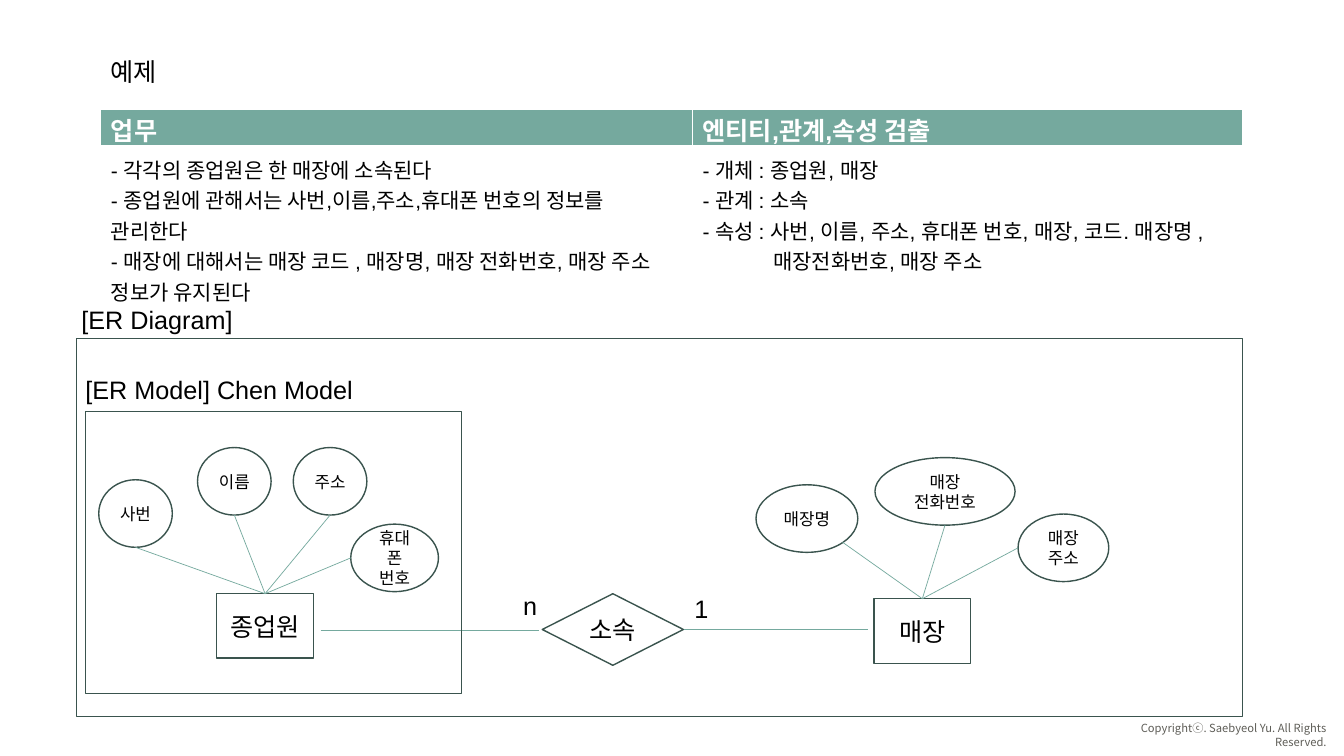
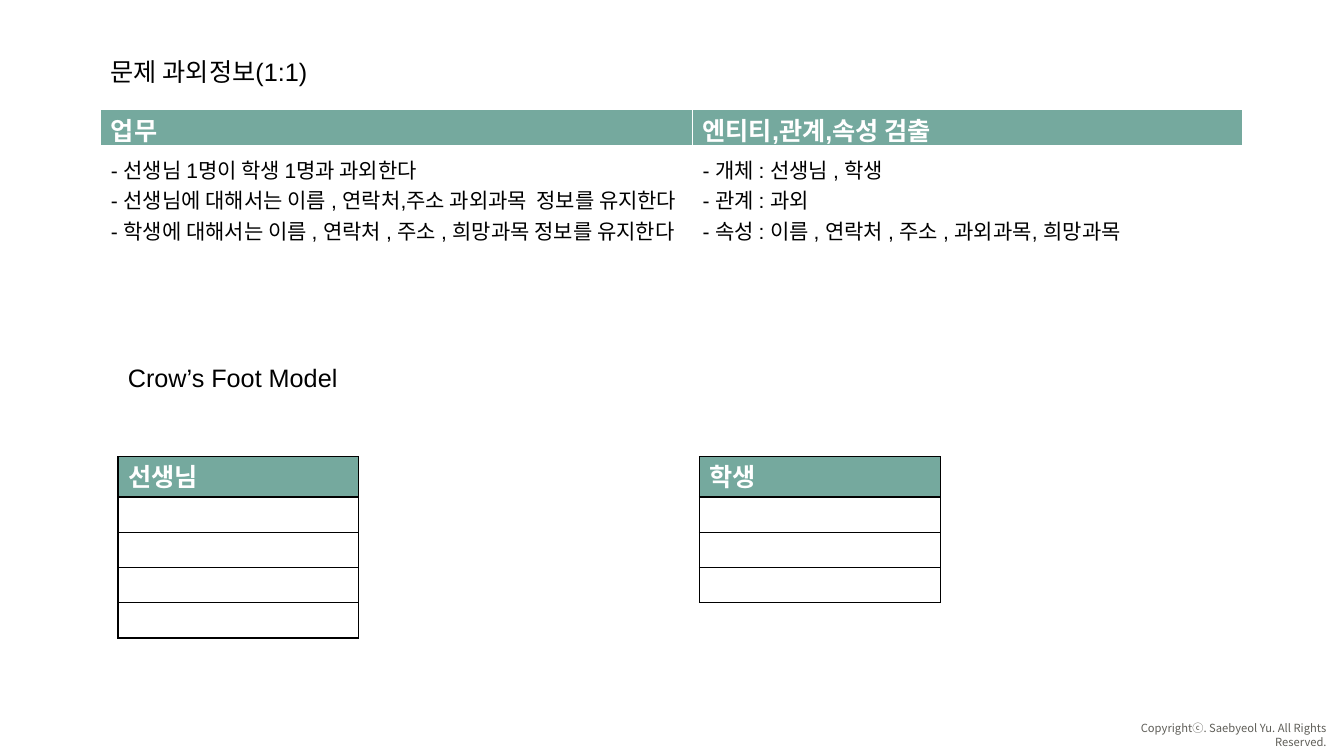
import dataclasses
import typing

import lxml.etree
import pptx
import pptx.dml.color
import pptx.enum.shapes
import pptx.enum.text
import pptx.oxml.ns
import pptx.util

INK = {"text": "000000", "band": "75A99E", "edge": "3A544E",
       "white": "FFFFFF", "foot": "5F5E58"}
CELL = pptx.util.Inches(0.1)  # side of one grid square
WIDE, HIGH = 133.33, 75  # slide size in grid squares
LEFT = 10
KIND = pptx.enum.shapes.MSO_SHAPE
ALIGN = pptx.enum.text.PP_ALIGN

BODY = {"name": "Arial", "size": 18, "color": "text"}
SMALL = {**BODY, "size": 12}
LIST = {**BODY, "size": 15}
HEAD = {**BODY, "color": "white", "bold": True}
FOOT = {"name": "Noto Sans CJK KR", "size": 8, "color": "foot"}

LOW, SIDE, SLANT = (0.5, 1), (0, 0.5), (0.85, 0.85)


@dataclasses.dataclass
class Box:
    col: float
    row: float
    wide: float
    high: float

    def port(self, share: tuple[float, float]) -> tuple[float, float]:
        """Point at the given shares of the width and height."""
        return self.col + share[0] * self.wide, self.row + share[1] * self.high


@dataclasses.dataclass
class Label:
    text: str
    col: float
    row: float
    wide: float


@dataclasses.dataclass
class Trait:
    text: str
    box: Box
    port: tuple[float, float] = LOW


@dataclasses.dataclass
class Owner:
    text: str
    box: Box
    traits: list[Trait]


@dataclasses.dataclass
class Grid:
    col: float
    row: float
    cols: list[float]
    rows: list[float]
    heads: list[str]
    lists: list[list[str]]
    line: str


OWNERS = [
    Owner("종업원", Box(21.5, 58.9, 9.6, 6.4), [
        Trait("사번", Box(9.8, 47.6, 7.3, 6.7)),
        Trait("이름", Box(19.6, 44.4, 7.3, 6.7)),
        Trait("주소", Box(29.1, 44.4, 7.3, 6.7)),
        Trait("휴대폰 번호", Box(34.8, 52, 8.7, 6.7), SIDE)]),
    Owner("매장", Box(86.7, 59.4, 9.6, 6.4), [
        Trait("매장명", Box(75, 48.1, 10.1, 6.7), SLANT),
        Trait("매장 전화번호", Box(86.8, 45.4, 13.9, 6.7)),
        Trait("매장\n주소", Box(101, 51, 9, 6.7), SIDE)]),
]
LINKS = [((31.8, 62.5), (53.5, 62.5)), ((67.9, 62.4), (86.1, 62.4))]
FRAMES = [Box(8.5, 40.8, 37.3, 28), Box(7.6, 33.6, 115.7, 37.5)]
LABELS = [
    Label("[ER Model] Chen Model", 7.5, 36.6, 35),
    Label("n", 50.9, 58.1, 3.5),
    Label("1", 67.9, 58.4, 3.4),
    Label("[ER Diagram]", 7.1, 29.7, 22),
]
STAFF = [
    ["- 각각의 종업원은 한 매장에 소속된다",
     "- 종업원에 관해서는 사번,이름,주소,휴대폰 번호의 정보를 관리한다",
     "- 매장에 대해서는 매장 코드 , 매장명, 매장 전화번호, 매장 주소 정보가 유지된다"],
    ["- 개체 : 종업원, 매장",
     "- 관계 : 소속",
     "- 속성 : 사번, 이름, 주소, 휴대폰 번호, 매장, 코드. 매장명 ,",
     "\t매장전화번호, 매장 주소"],
]
TUTOR = [
    ["- 선생님 1명이 학생 1명과 과외한다",
     "- 선생님에 대해서는 이름 , 연락처,주소 과외과목  정보를 유지한다",
     "- 학생에 대해서는 이름 , 연락처 , 주소 , 희망과목 정보를 유지한다"],
    ["- 개체 : 선생님 , 학생",
     "- 관계 : 과외",
     "- 속성 : 이름 , 연락처 , 주소 , 과외과목, 희망과목"],
]


def span(*units: float) -> list[int]:
    return [round(unit * CELL) for unit in units]


def tint(name: str) -> pptx.dml.color.RGBColor:
    return pptx.dml.color.RGBColor.from_string(INK[name])


def style(font: typing.Any, form: dict[str, typing.Any]) -> None:
    for key, val in form.items():
        if key == "color":
            font.color.rgb = tint(val)
        else:
            setattr(font, key, pptx.util.Pt(val) if key == "size" else val)


def write(frame: typing.Any, lines: list[str], form: dict[str, typing.Any],
          align: typing.Any = None) -> None:
    """Write one paragraph a line; a leading tab makes it indented."""
    for spot, line in enumerate(lines):
        para = frame.paragraphs[0] if spot == 0 else frame.add_paragraph()
        if line.startswith("\t"):
            para._p.get_or_add_pPr().set("marL", str(span(7)[0]))
        para.alignment = align
        run = para.add_run()
        run.text = line.strip()
        style(run.font, form)


def note(slide: typing.Any, label: Label, form: dict[str, typing.Any] = BODY,
         align: typing.Any = None) -> None:
    box = slide.shapes.add_textbox(*span(label.col, label.row, label.wide, 4))
    box.text_frame.word_wrap = True
    write(box.text_frame, [label.text], form, align)


def shape(slide: typing.Any, kind: typing.Any, box: Box, text: str = "",
          form: dict[str, typing.Any] = BODY) -> None:
    item = slide.shapes.add_shape(
        kind, *span(box.col, box.row, box.wide, box.high))
    item.shadow.inherit = False
    item.fill.background()
    item.line.color.rgb = tint("edge")
    item.line.width = pptx.util.Pt(1)
    if text:
        item.text_frame.vertical_anchor = pptx.enum.text.MSO_ANCHOR.MIDDLE
        write(item.text_frame, text.split("\n"), form, ALIGN.CENTER)


def link(slide: typing.Any, start: tuple[float, float],
         end: tuple[float, float]) -> None:
    line = slide.shapes.add_connector(
        pptx.enum.shapes.MSO_CONNECTOR.STRAIGHT, *span(*start, *end))
    line.line.color.rgb = tint("band")
    line.line.width = pptx.util.Pt(0.5)
    lxml.etree.SubElement(line._element.spPr,
                          pptx.oxml.ns.qn("a:effectLst"))


def edge(cell: typing.Any, name: str, low: float) -> None:
    """Border a cell; low is the width of its bottom line in points."""
    props = cell._tc.get_or_add_tcPr()
    for side, width in zip("LRTB", (1, 1, 1, low)):
        line = lxml.etree.SubElement(props, pptx.oxml.ns.qn(f"a:ln{side}"),
                                     w=str(pptx.util.Pt(width)))
        fill = lxml.etree.SubElement(line, pptx.oxml.ns.qn("a:solidFill"))
        lxml.etree.SubElement(fill, pptx.oxml.ns.qn("a:srgbClr"),
                              val=INK[name])


def table(slide: typing.Any, grid: Grid) -> None:
    item = slide.shapes.add_table(
        len(grid.rows), len(grid.cols),
        *span(grid.col, grid.row, sum(grid.cols), sum(grid.rows))).table
    item.horz_banding = False
    for col, wide in zip(item.columns, span(*grid.cols)):
        col.width = wide
    for row, high in zip(item.rows, span(*grid.rows)):
        row.height = high
    for top, row in enumerate(item.rows):
        for left, cell in enumerate(row.cells):
            head = top == 0
            thick = 3 if head and grid.line == "white" else 1
            edge(cell, grid.line, thick)
            filled = top == 1 and grid.lists
            cell.margin_top = span(0.7 if filled else 0.1)[0]
            cell.margin_bottom = 0
            if head:
                cell.fill.solid()
                cell.fill.fore_color.rgb = tint("band")
                write(cell.text_frame, [grid.heads[left]], HEAD)
            else:
                cell.fill.background()
                if filled:
                    write(cell.text_frame, grid.lists[left], LIST)


def page(deck: typing.Any, title: str, lists: list[list[str]]) -> typing.Any:
    """Add a slide with the shared footer, title and task table."""
    slide = deck.slides.add_slide(deck.slide_layouts[6])
    note(slide, Label("Copyrightⓒ. Saebyeol Yu. All Rights Reserved.",
                      106.9, 71.1, 25.7), FOOT, ALIGN.RIGHT)
    note(slide, Label(title, LEFT, 5.1, 40))
    table(slide, Grid(LEFT, 10.9, [58.7, 54.6], [3.7, 16, 3.7],
                      ["업무", "엔티티,관계,속성 검출"], lists, "white"))
    return slide


def chen(deck: typing.Any) -> None:
    slide = page(deck, "예제", STAFF)
    for owner in OWNERS:
        shape(slide, KIND.RECTANGLE, owner.box, owner.text)
        for trait in owner.traits:
            shape(slide, KIND.OVAL, trait.box, trait.text, SMALL)
            link(slide, trait.box.port(trait.port), owner.box.port((0.5, 0)))
    shape(slide, KIND.DIAMOND, Box(53.8, 58.9, 14, 7.1), "소속")
    for start, end in LINKS:
        link(slide, start, end)
    for frame in FRAMES:
        shape(slide, KIND.RECTANGLE, frame)
    for label in LABELS:
        note(slide, label)


def crow(deck: typing.Any) -> None:
    slide = page(deck, "문제 과외정보(1:1)", TUTOR)
    note(slide, Label("Crow’s Foot Model", 11.7, 35.5, 23.9))
    for name, col, count in (("선생님", 11.7, 4), ("학생", 69.4, 3)):
        table(slide, Grid(col, 45.3, [23.9], [4] + [3.5] * count,
                          [name], [], "text"))


def main() -> None:
    deck = pptx.Presentation()
    deck.slide_width, deck.slide_height = span(WIDE, HIGH)
    chen(deck)
    crow(deck)
    deck.save("out.pptx")


if __name__ == "__main__":
    main()
